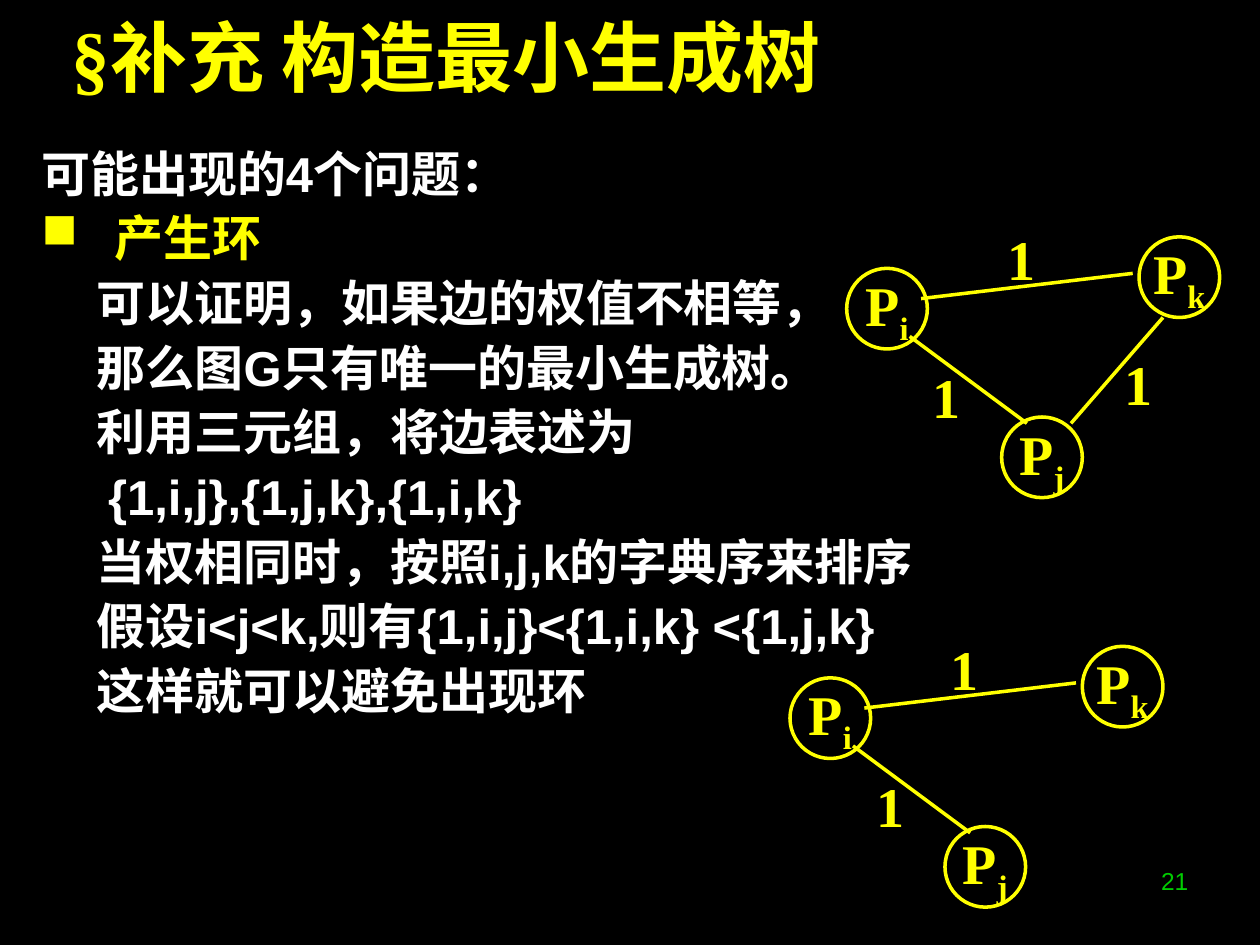
from lxml.etree import SubElement
from pptx import Presentation
from pptx.dml.color import RGBColor
from pptx.enum.shapes import MSO_CONNECTOR as Connector, MSO_SHAPE as Shape
from pptx.enum.text import MSO_ANCHOR as Anchor, PP_ALIGN as Align
from pptx.oxml.ns import qn
from pptx.util import Inches, Pt

YELLOW, WHITE, GREEN, BLACK = "FFFF00", "FFFFFF", "00CC00", "000000"
SERIF, SANS = "Times New Roman", "Arial"
NODE_SIZE = 0.64
LABEL_WIDTH = 0.49

NODES = {"i": (6.72, 2.13), "j": (7.95, 3.31), "k": (9.04, 1.88)}
EDGES = {
    "ik": ((7.31, 2.37), (8.99, 2.17), (7.86, 1.73)),
    "ij": ((7.22, 2.67), (8.15, 3.36), (7.27, 2.82)),
    "jk": ((8.5, 3.36), (9.23, 2.52), (8.79, 2.72)),
}
GRAPHS = [((0, 0), ("ik", "ij", "jk")), ((-0.45, 3.25), ("ik", "ij"))]

BODY = [
    ("可能出现的4个问题：", 0),
    ("产生环", 0.58),
    ("可以证明，如果边的权值不相等，", 0.44),
    ("那么图G只有唯一的最小生成树。", 0.44),
    ("利用三元组，将边表述为", 0.44),
    ("{1,i,j},{1,j,k},{1,i,k}", 0.53),
    ("当权相同时，按照i,j,k的字典序来排序", 0.44),
    ("假设i<j<k,则有{1,i,j}<{1,i,k} <{1,j,k}", 0.44),
    ("这样就可以避免出现环", 0.44),
]


def color(value):
    return RGBColor.from_string(value)


class SlideBuilder:
    """Holds the slide and its style and adds each kind of element."""

    def __init__(self, presentation):
        self.slide = presentation.slides.add_slide(presentation.slide_layouts[6])
        background = self.slide.background.fill
        background.solid()
        background.fore_color.rgb = color(BLACK)
        self.graph_font = {"name": SERIF, "size": Pt(32), "bold": True}

    def add_run(self, paragraph, text, font, hue):
        run = paragraph.add_run()
        run.text = text
        for name, value in font.items():
            setattr(run.font, name, value)
        run.font.color.rgb = color(hue)
        return run

    def text_box(self, left, top, width, height, wrap=True, anchor=Anchor.TOP):
        shape = self.slide.shapes.add_textbox(
            Inches(left), Inches(top), Inches(width), Inches(height))
        shape.text_frame.word_wrap = wrap
        shape.text_frame.vertical_anchor = anchor
        return shape.text_frame

    def line_of_text(self, box, text, font, hue, align=Align.LEFT, **options):
        paragraph = self.text_box(*box, **options).paragraphs[0]
        paragraph.alignment = align
        self.add_run(paragraph, text, font, hue)

    def body(self, box, lines, font):
        frame = self.text_box(*box)
        for index, (text, indent) in enumerate(lines):
            paragraph = frame.paragraphs[0] if index == 0 else frame.add_paragraph()
            paragraph.line_spacing = 1.1
            bulleted = index == 1
            properties = paragraph._p.get_or_add_pPr()
            properties.set("marL", str(Inches(indent)))
            properties.set("indent", str(-Inches(indent) if bulleted else 0))
            if bulleted:
                bullet_color = SubElement(properties, qn("a:buClr"))
                SubElement(bullet_color, qn("a:srgbClr")).set("val", YELLOW)
                SubElement(properties, qn("a:buChar")).set("char", "■")
            self.add_run(paragraph, text, font, YELLOW if bulleted else WHITE)

    def node(self, left, top, subscript):
        shape = self.slide.shapes.add_shape(
            Shape.OVAL, Inches(left), Inches(top), Inches(NODE_SIZE), Inches(NODE_SIZE))
        shape.shadow.inherit = False
        shape.fill.background()
        shape.line.color.rgb = color(YELLOW)
        shape.line.width = Pt(2)
        frame = shape.text_frame
        frame.word_wrap = False
        frame.vertical_anchor = Anchor.MIDDLE
        paragraph = frame.paragraphs[0]
        paragraph.alignment = Align.CENTER
        self.add_run(paragraph, "P", self.graph_font, YELLOW)
        run = self.add_run(paragraph, subscript, self.graph_font, YELLOW)
        run._r.get_or_add_rPr().set("baseline", "-25000")

    def edge(self, start, end):
        connector = self.slide.shapes.add_connector(
            Connector.STRAIGHT, *(Inches(value) for value in (*start, *end)))
        connector.line.color.rgb = color(YELLOW)
        connector.line.width = Pt(2)
        SubElement(connector._element.spPr, qn("a:effectLst"))

    def graph(self, offset, edge_names):
        def shift(point):
            return point[0] + offset[0], point[1] + offset[1]

        for subscript, position in NODES.items():
            self.node(*shift(position), subscript)
        for name in edge_names:
            start, end, label = map(shift, EDGES[name])
            self.edge(start, end)
            self.line_of_text((*label, LABEL_WIDTH, NODE_SIZE), "1", self.graph_font,
                              YELLOW, Align.CENTER, wrap=False, anchor=Anchor.MIDDLE)


def main():
    presentation = Presentation()
    presentation.slide_width = Inches(10)
    presentation.slide_height = Inches(7.5)
    builder = SlideBuilder(presentation)
    builder.line_of_text((0.47, 0, 9, 0.89), "§补充 构造最小生成树",
                         {"name": SERIF, "size": Pt(44), "bold": True},
                         YELLOW, anchor=Anchor.MIDDLE)
    builder.body((0.23, 1.04, 9.6, 6.25), BODY,
                 {"name": SANS, "size": Pt(28), "bold": True})
    for offset, edge_names in GRAPHS:
        builder.graph(offset, edge_names)
    builder.line_of_text((7.2, 6.82, 2.33, 0.52), "21",
                         {"name": SANS, "size": Pt(14)}, GREEN, Align.RIGHT)
    presentation.save("out.pptx")


if __name__ == "__main__":
    main()
